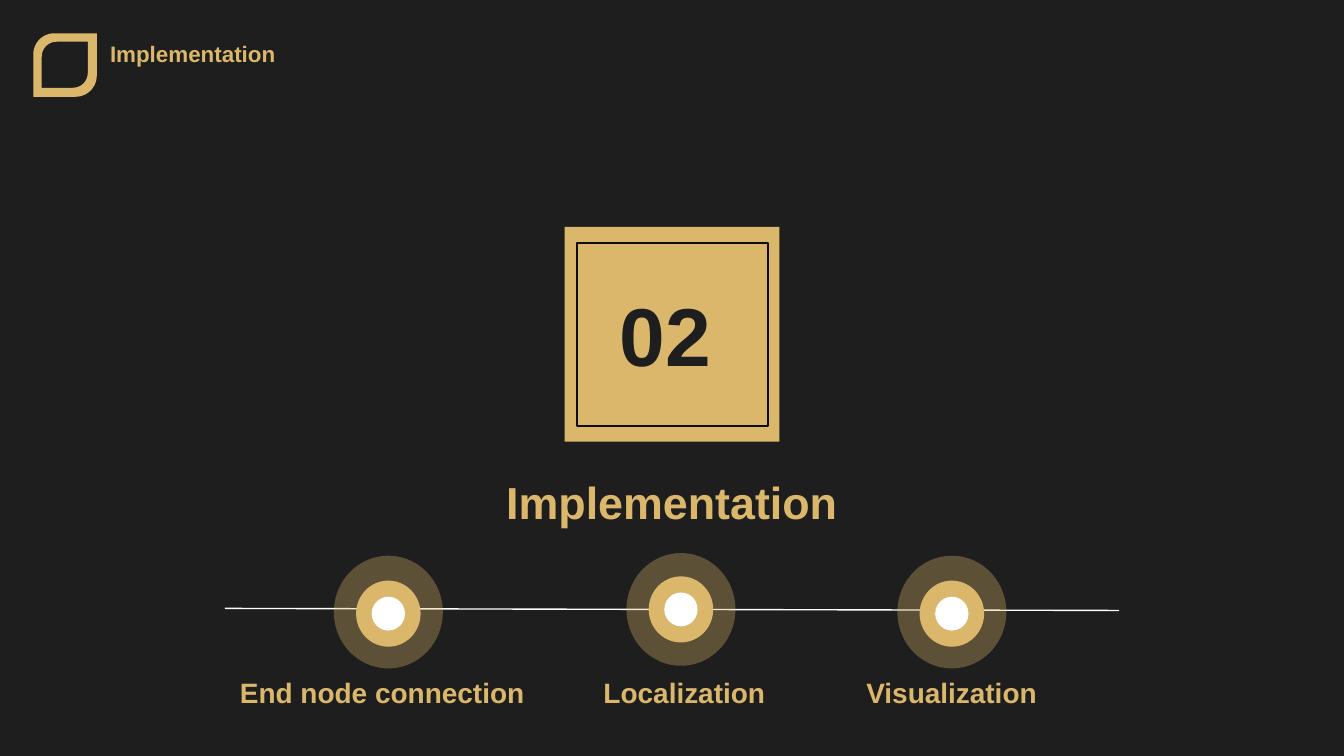
"""Build the dark section slide for part 02, Implementation, with its three-step timeline."""
from math import cos, radians, sin

from lxml import etree
from pptx import Presentation
from pptx.dml.color import RGBColor
from pptx.enum.shapes import MSO_CONNECTOR as CONN, MSO_SHAPE as SHAPE
from pptx.enum.text import MSO_AUTO_SIZE as AUTO, PP_ALIGN as ALIGN
from pptx.oxml.ns import qn
from pptx.util import Cm, Pt

THEME = {
    "font": "Arial",
    "dark": RGBColor(0x1E, 0x1E, 0x1E),
    "gold": RGBColor(0xDB, 0xB7, 0x6C),
    "white": RGBColor(0xFF, 0xFF, 0xFF),
    "frame": RGBColor(0x0D, 0x0D, 0x0D),
    "header": Pt(12),
    "label": Pt(15),
    "title": Pt(24),
    "number": Pt(44),
}


def add_text(shapes, text, box, size, color="gold", align=ALIGN.CENTER):
    tf = shapes.add_textbox(*map(Cm, box)).text_frame
    for name, value in {"word_wrap": True, "auto_size": AUTO.SHAPE_TO_FIT_TEXT}.items():
        setattr(tf, name, value)
    p = tf.paragraphs[0]
    p.alignment = align
    r = p.add_run()
    r.text = text
    for name, value in {"name": THEME["font"], "size": THEME[size], "bold": True}.items():
        setattr(r.font, name, value)
    r.font.color.rgb = THEME[color]


def add_filled(shapes, kind, box, color):
    sp = shapes.add_shape(kind, *map(Cm, box))
    sp.shadow.inherit = False
    sp.fill.solid()
    sp.fill.fore_color.rgb = THEME[color]
    sp.line.fill.background()
    return sp


prs = Presentation()
prs.slide_width, prs.slide_height = Cm(25.4), Cm(14.29)
s = prs.slides.add_slide(prs.slide_layouts[6])
s.background.fill.solid()
s.background.fill.fore_color.rgb = THEME["dark"]

add_text(s.shapes, "Implementation", (1.83, 0.64, 5.41, 0.76), "header", align=ALIGN.LEFT)

contours = []
for near, far, radius in [(0.63, 1.83, 0.4), (0.79, 1.66, 0.28)]:
    contour = []
    for center, start, corner in [(near + radius, 180, (far, near)), (far - radius, 0, (near, far))]:
        for angle in range(start, start + 91, 6):
            a = radians(angle)
            contour.append((Cm(center + radius * cos(a)), Cm(center + radius * sin(a))))
        contour.append(tuple(map(Cm, corner)))
    contours.append(contour)
outer, inner = contours
leaf = s.shapes.build_freeform(*outer[0])
leaf.add_line_segments(outer[1:], close=True)
leaf.move_to(*inner[0])
leaf.add_line_segments(inner[1:], close=True)
sp = leaf.convert_to_shape()
sp.shadow.inherit = False
sp.fill.solid()
sp.fill.fore_color.rgb = THEME["gold"]
sp.line.fill.background()

add_text(s.shapes, "Implementation", (8.86, 8.84, 7.67, 1.27), "title")
add_filled(s.shapes, SHAPE.RECTANGLE, (10.67, 4.29, 4.06, 4.06), "gold")
add_text(s.shapes, "02", (11.46, 5.26, 2.57, 2.13), "number", "dark", ALIGN.LEFT)
frame = add_filled(s.shapes, SHAPE.RECTANGLE, (10.9, 4.6, 3.61, 3.45), "gold")
frame.fill.background()
frame.line.color.rgb = THEME["frame"]
frame.line.width = Pt(1)

timeline = s.shapes.add_group_shape().shapes
axis = timeline.add_connector(CONN.STRAIGHT, Cm(4.25), Cm(11.5), Cm(21.15), Cm(11.54))
axis.line.color.rgb = THEME["white"]
axis.line.width = Pt(0.75)
etree.SubElement(axis.element.spPr, qn("a:effectLst"))

steps = [
    ("End node connection", 4.24, 5.97, 7.34, 11.57, 11.6),
    ("Localization", 11.13, 3.61, 12.87, 11.52, 11.52),
    ("Visualization", 15.65, 4.67, 17.99, 11.57, 11.6),
]
for text, left, width, x, halo_y, dot_y in steps:
    discs = [(halo_y, 2.06, 2.13, "gold"), (dot_y, 1.22, 1.25, "gold"), (dot_y, 0.63, 0.64, "white")]
    halo, ring, dot = [
        add_filled(timeline, SHAPE.OVAL, (x - w / 2, y - h / 2, w, h), color) for y, w, h, color in discs
    ]
    tint = halo.element.spPr.find(qn("a:solidFill"))[0]
    etree.SubElement(tint, qn("a:alpha"), val="33000")
    add_text(s.shapes, text, (left, 12.65, width, 0.89), "label")

prs.save("out.pptx")
